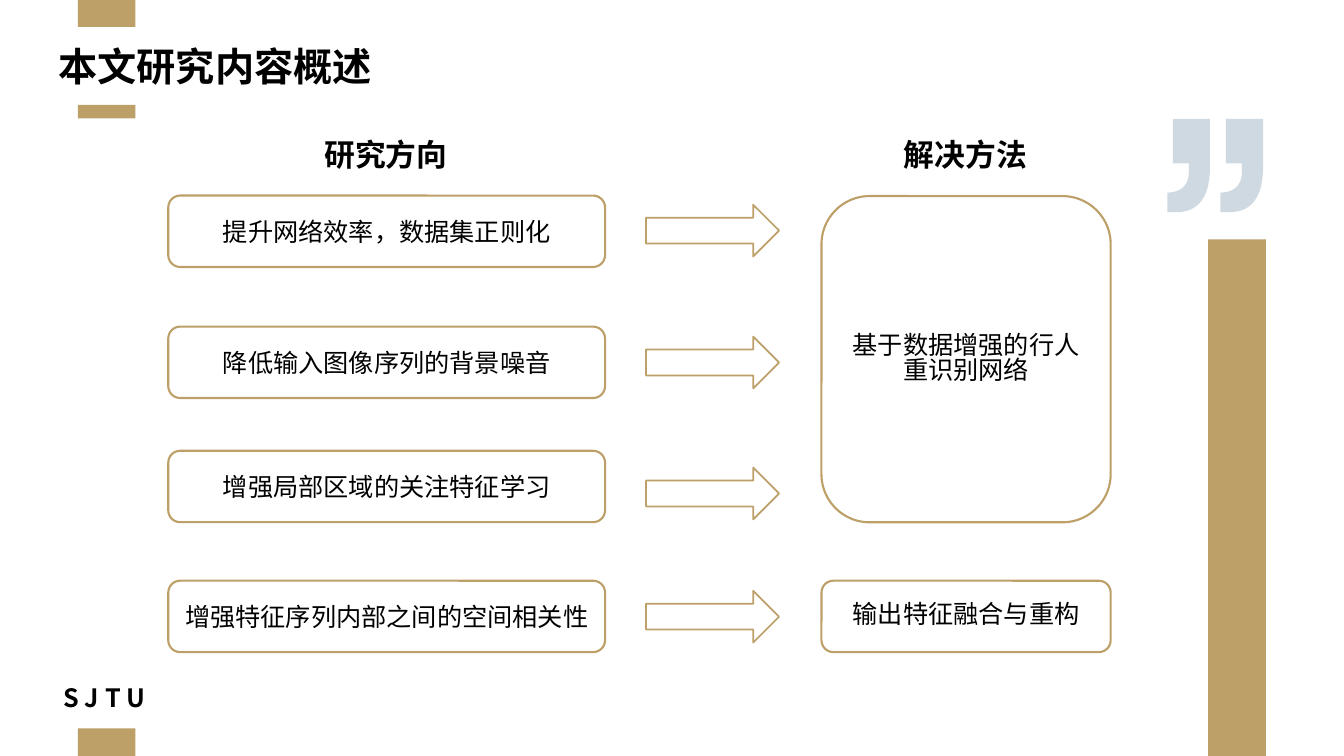
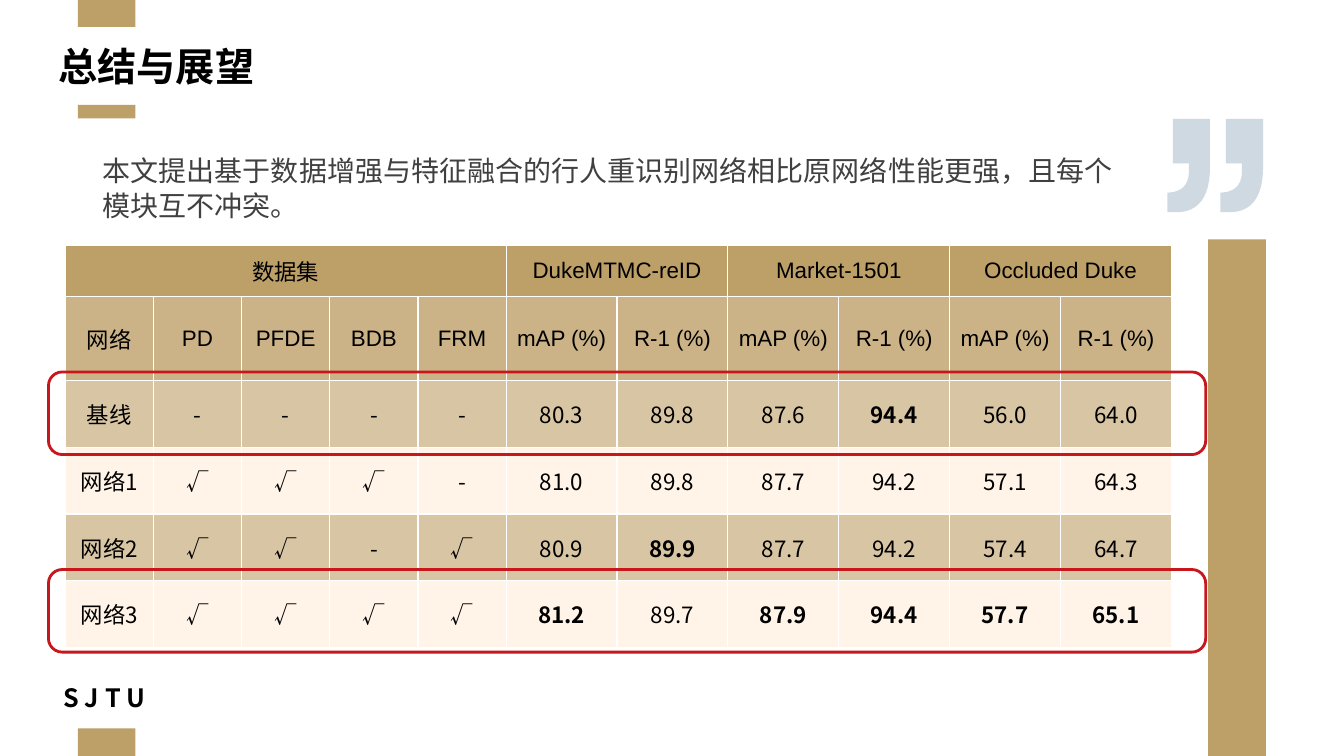
import pptx
import pptx.util
import pptx.dml.color
import pptx.enum.shapes
import pptx.enum.text
import pptx.oxml
import pptx.oxml.ns

Pt = pptx.util.Pt
Color = pptx.dml.color.RGBColor
Shape = pptx.enum.shapes.MSO_SHAPE
Align = pptx.enum.text.PP_ALIGN
Anchor = pptx.enum.text.MSO_ANCHOR

GOLD = Color(0xBD, 0x9F, 0x68)
TAN = Color(0xCB, 0xB3, 0x87)
SAND = Color(0xD8, 0xC5, 0xA4)
CREAM = Color(0xFF, 0xF4, 0xE7)
MIST = Color(0xC0, 0xCD, 0xD8)
RED = Color(0xC8, 0x16, 0x1D)
WHITE = Color(0xFF, 0xFF, 0xFF)
BLACK = Color(0, 0, 0)
GRAY = Color(0x40, 0x40, 0x40)
HAN = "Noto Sans CJK SC"
LATIN = "Arial"

BANDS = [(55.6, 0, 41.2, 19.2), (55.6, 74.9, 41.2, 9.6),
         (55.6, 520.3, 41.2, 19.7), (863, 171, 41.2, 369)]
FOOTER = "S J T U"
FOOTER_AREA = (45.4, 489.6, 61, 19.4)
TITLE_AREA = (34.6, 26.6, 870, 41)
QUOTE_LEFT, QUOTE_TOP, QUOTE_PITCH = 833.8, 85, 37.9
QUOTE_OUTLINE = [
    [(30.5, 0)], [(30.5, 34.2)],
    [(30.5, 55.4), (22.5, 66.6), (6.5, 66.6)],
    [(0, 66.6)], [(0, 52.6)],
    [(10.1, 52.4), (15.4, 47.2), (15.4, 37.4)],
    [(15.4, 31.7)], [(4, 31.7)], [(4, 0)],
]

OVERVIEW_TITLE = "本文研究内容概述"
HEADINGS = [("研究方向", 224.6), ("解决方法", 638.6)]
DIRECTIONS = [
    ("提升网络效率，数据集正则化", 139.7, 146.2),
    ("降低输入图像序列的背景噪音", 233.3, 240.4),
    ("增强局部区域的关注特征学习", 322, 334),
    ("增强特征序列内部之间的空间相关性", 414.8, 422),
]
METHODS = [("基于数据增强的行人重识别网络", 140.1, 233),
           ("输出特征融合与重构", 414.8, 51)]

SUMMARY_TITLE = "总结与展望"
SUMMARY = "本文提出基于数据增强与特征融合的行人重识别网络相比原网络性能更强，且每个模块互不冲突。"
GROUPS = [("数据集", 5), ("DukeMTMC-reID", 2), ("Market-1501", 2), ("Occluded Duke", 2)]
COLUMNS = ["网络", "PD", "PFDE", "BDB", "FRM"] + ["mAP (%)", "R-1 (%)"] * 3
RESULTS = [
    ["基线", "-", "-", "-", "-", "80.3", "89.8", "87.6", "94.4", "56.0", "64.0"],
    ["网络1", "√", "√", "√", "-", "81.0", "89.8", "87.7", "94.2", "57.1", "64.3"],
    ["网络2", "√", "√", "-", "√", "80.9", "89.9", "87.7", "94.2", "57.4", "64.7"],
    ["网络3", "√", "√", "√", "√", "81.2", "89.7", "87.9", "94.4", "57.7", "65.1"],
]
ROW_HEIGHTS = [36.7, 60.3, 47.6, 47.6, 47.6, 47.6]
COLUMN_WIDTHS = [63] * 5 + [79.2] * 6
HIGHLIGHT_TOPS = [265.7, 406.8]


def points(*lengths):
    return [Pt(length) for length in lengths]


def apply(target, formats):
    for name, value in formats.items():
        setattr(target, name, value)


def write(frame, text, size, color=BLACK, bold=False, font=HAN, align=Align.LEFT,
          anchor=Anchor.MIDDLE, wrap=True, spacing=1.0):
    apply(frame, {"word_wrap": wrap, "vertical_anchor": anchor})
    para = frame.paragraphs[0]
    apply(para, {"alignment": align, "line_spacing": spacing, "space_before": Pt(0)})
    span = para.add_run()
    span.text = text
    apply(span.font, {"size": Pt(size), "bold": bold, "name": font})
    span.font.color.rgb = color
    east = pptx.oxml.parse_xml(
        f'<a:ea {pptx.oxml.ns.nsdecls("a")} typeface="{HAN}"/>')
    span.font._element.append(east)


def fill_placeholder(holder, area, text, **formats):
    apply(holder, dict(zip(("left", "top", "width", "height"), points(*area))))
    holder.text_frame.auto_size = pptx.enum.text.MSO_AUTO_SIZE.NONE
    write(holder.text_frame, text, **formats)


def add_label(page, area, text, **formats):
    box = page.shapes.add_textbox(*points(*area))
    write(box.text_frame, text, wrap=False, **formats)
    return box


def paint(shape, fill=None, line=None, weight=1.5):
    shape.shadow.inherit = False
    if fill is None:
        shape.fill.background()
    else:
        shape.fill.solid()
        shape.fill.fore_color.rgb = fill
    if line is None:
        shape.line.fill.background()
    else:
        shape.line.color.rgb = line
        shape.line.width = Pt(weight)


def add_block(page, kind, area, **look):
    block = page.shapes.add_shape(kind, *points(*area))
    paint(block, **look)
    return block


def quote_vertices(shift):
    vertices = []
    for step in QUOTE_OUTLINE:
        if len(step) == 1:
            vertices += step
            continue
        controls = [vertices[-1]] + step
        for t in [n / 12 for n in range(1, 13)]:
            weights = [(1 - t) ** 3, 3 * t * (1 - t) ** 2, 3 * t * t * (1 - t), t ** 3]
            vertices.append(tuple(
                sum(w * point[axis] for w, point in zip(weights, controls))
                for axis in (0, 1)))
    return [((x + shift + QUOTE_LEFT) * 100, (y + QUOTE_TOP) * 100) for x, y in vertices]


def add_quote_mark(page):
    first, second = quote_vertices(0), quote_vertices(QUOTE_PITCH)
    builder = page.shapes.build_freeform(*first[0], scale=Pt(1) / 100)
    builder.add_line_segments(first[1:], close=True)
    builder.move_to(*second[0])
    builder.add_line_segments(second[1:], close=True)
    mark = builder.convert_to_shape()
    paint(mark, fill=MIST)
    tint = mark._element.spPr.find(".//" + pptx.oxml.ns.qn("a:srgbClr"))
    tint.append(pptx.oxml.parse_xml(
        f'<a:alpha {pptx.oxml.ns.nsdecls("a")} val="75000"/>'))


def add_page(deck, layout, title):
    page = deck.slides.add_slide(deck.slide_layouts[layout])
    for area in BANDS:
        add_block(page, Shape.RECTANGLE, area, fill=GOLD)
    footer = add_label(page, FOOTER_AREA, FOOTER, size=18, bold=True,
                       anchor=Anchor.BOTTOM, spacing=0.9)
    apply(footer.text_frame, dict.fromkeys(
        ("margin_left", "margin_top", "margin_right", "margin_bottom"), Pt(0)))
    add_quote_mark(page)
    fill_placeholder(page.shapes.title, TITLE_AREA, title, size=28, bold=True)
    return page


def build_overview(deck):
    page = add_page(deck, 5, OVERVIEW_TITLE)
    for heading, left in HEADINGS:
        add_label(page, (left, 93.6, 102.2, 33.8), heading, size=22, bold=True)
    for direction, top, arrow_top in DIRECTIONS:
        box = add_block(page, Shape.ROUNDED_RECTANGLE, (120.2, top, 312, 51),
                        fill=WHITE, line=GOLD)
        write(box.text_frame, direction, 18, align=Align.CENTER)
        add_block(page, Shape.RIGHT_ARROW, (461.5, arrow_top, 95, 37),
                  fill=WHITE, line=GOLD, weight=1.25)
    for method, top, height in METHODS:
        box = add_block(page, Shape.ROUNDED_RECTANGLE, (586.8, top, 206.6, height), line=GOLD)
        write(box.text_frame, method, 18, align=Align.CENTER, spacing=0.82)


def fill_cell(cell, text, color, **formats):
    cell.fill.solid()
    cell.fill.fore_color.rgb = color
    apply(cell, {"margin_left": Pt(5), "margin_right": Pt(5)})
    write(cell.text_frame, text, 16, align=Align.CENTER, **formats)
    cell.vertical_anchor = Anchor.MIDDLE


def add_results(page):
    area = (46.6, 175, sum(COLUMN_WIDTHS), sum(ROW_HEIGHTS))
    table = page.shapes.add_table(len(ROW_HEIGHTS), len(COLUMN_WIDTHS), *points(*area)).table
    apply(table, {"first_row": False, "horz_banding": False})
    for row, height in zip(table.rows, ROW_HEIGHTS):
        row.height = Pt(height)
    for column, width in zip(table.columns, COLUMN_WIDTHS):
        column.width = Pt(width)
    start = 0
    for group, count in GROUPS:
        table.cell(0, start).merge(table.cell(0, start + count - 1))
        fill_cell(table.cell(0, start), group, GOLD, font=LATIN)
        start += count
    for index, name in enumerate(COLUMNS):
        fill_cell(table.cell(1, index), name, TAN, font=LATIN)
    best = [max(values) for values in zip(*RESULTS)]
    for number, values in enumerate(RESULTS):
        for index, value in enumerate(values):
            fill_cell(table.cell(number + 2, index), value, (SAND, CREAM)[number % 2],
                      bold=index > 4 and value == best[index])


def build_summary(deck):
    page = add_page(deck, 1, SUMMARY_TITLE)
    body = page.placeholders[1]
    properties = body.text_frame.paragraphs[0]._p.get_or_add_pPr()
    properties.set("marL", "0")
    properties.set("indent", "0")
    properties.append(pptx.oxml.parse_xml(f'<a:buNone {pptx.oxml.ns.nsdecls("a")}/>'))
    fill_placeholder(body, (66.2, 100.2, 755.3, 67), SUMMARY, size=20, color=GRAY,
                     font=LATIN, spacing=1.05)
    add_results(page)
    for top in HIGHLIGHT_TOPS:
        add_block(page, Shape.ROUNDED_RECTANGLE, (34.6, top, 826.6, 59), line=RED, weight=2)


def main():
    deck = pptx.Presentation()
    apply(deck, {"slide_width": Pt(960), "slide_height": Pt(540)})
    build_overview(deck)
    build_summary(deck)
    deck.save("out.pptx")


if __name__ == "__main__":
    main()
